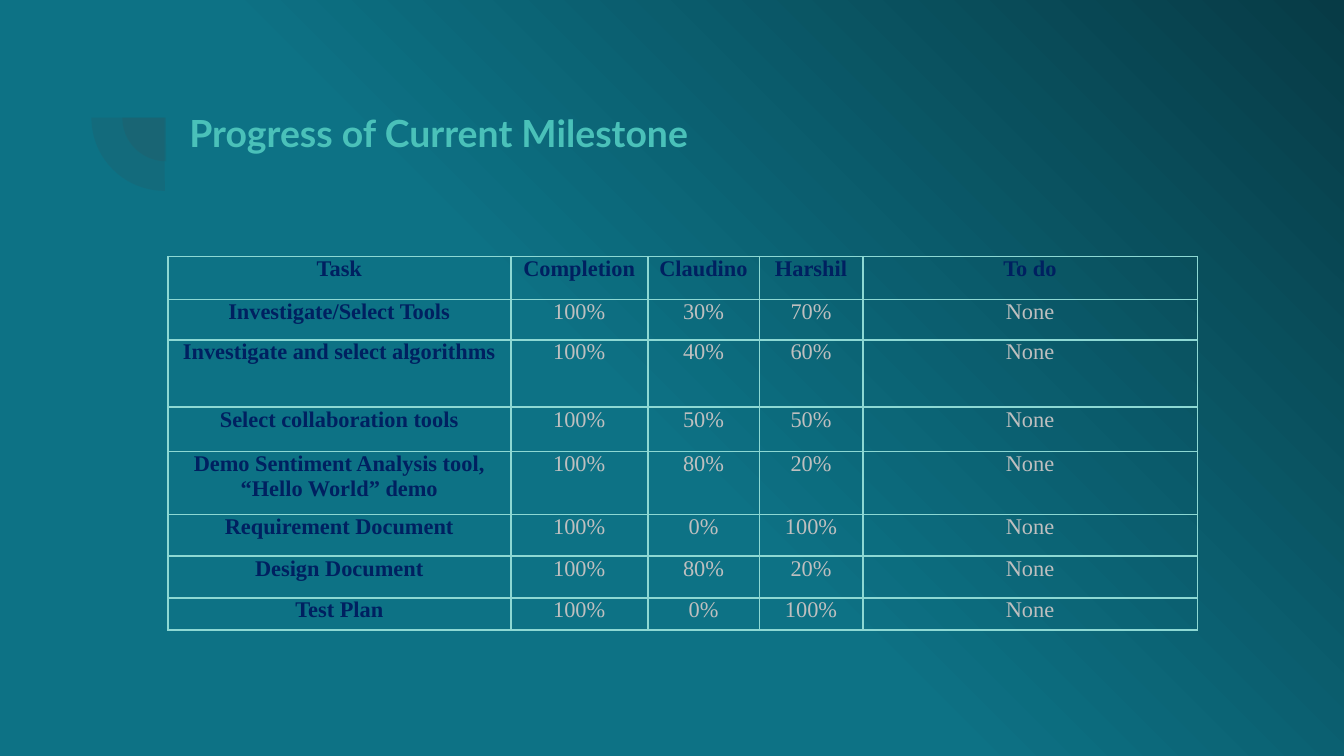
from lxml import etree
from pptx import Presentation
from pptx.dml.color import RGBColor
from pptx.enum import shapes, text
from pptx.oxml import parse_xml
from pptx.oxml.ns import nsdecls, qn
from pptx.util import Inches, Pt

COLORS = {"teal": "0D7285", "deep": "073B46", "title": "4AC1B9", "pie": "424242",
          "border": "8DD8D3", "heading": "002060", "value": "BFBFBF"}
TITLE = "Progress of Current Milestone"
TABLE = [
    ("Task", "Completion", "Claudino", "Harshil", "To do"),
    ("Investigate/Select Tools", "100%", "30%", "70%", "None"),
    ("Investigate and select algorithms", "100%", "40%", "60%", "None"),
    ("Select collaboration tools", "100%", "50%", "50%", "None"),
    ("Demo Sentiment Analysis tool, “Hello World” demo", "100%", "80%", "20%", "None"),
    ("Requirement Document", "100%", "0%", "100%", "None"),
    ("Design Document", "100%", "80%", "20%", "None"),
    ("Test Plan", "100%", "0%", "100%", "None"),
]
SLIDE_WIDTH = 10
COL_WIDTHS = [2.55, 1.02, 0.83, 0.77, 2.49]
ROW_HEIGHTS = [0.32, 0.3, 0.5, 0.33, 0.47, 0.31, 0.31, 0.24]
PIES = [(0.91, 0.55, 0.65), (0.68, 0.33, 1.09)]  # left, top, size


def set_font(p, name, size, color, bold):
    p.font.name, p.font.size, p.font.bold = name, Pt(size), bold
    p.font.color.rgb = RGBColor.from_string(COLORS[color])


def add_background(slide):
    """Radial gradient centred on the bottom left corner."""
    stops = "".join(
        f'<a:gs pos="{pos * 1000}"><a:srgbClr val="{COLORS[c]}"/></a:gs>'
        for pos, c in [(0, "teal"), (46, "teal"), (100, "deep")])
    bg = parse_xml(
        f'<p:bg {nsdecls("p", "a")}><p:bgPr><a:gradFill rotWithShape="1">'
        f'<a:gsLst>{stops}</a:gsLst><a:path path="circle">'
        '<a:fillToRect t="100000" r="100000"/></a:path></a:gradFill>'
        '<a:effectLst/></p:bgPr></p:bg>')
    slide.shapes.element.addprevious(bg)


def add_pie(slide, left, top, size):
    sp = slide.shapes.add_shape(shapes.MSO_SHAPE.PIE, Inches(left), Inches(top),
                                Inches(size), Inches(size))
    sp.adjustments[0], sp.adjustments[1] = 107.93, 162
    sp.rotation = 270
    sp.shadow.inherit = False
    sp.line.fill.background()
    sp.fill.solid()
    sp.fill.fore_color.rgb = RGBColor.from_string(COLORS["pie"])
    color = sp.element.spPr.find(".//" + qn("a:srgbClr"))
    etree.SubElement(color, qn("a:alpha"), val="13000")


def add_title(slide):
    sp = slide.shapes.add_textbox(Inches(1.31), Inches(0.72), Inches(7.69), Inches(1.09))
    tf = sp.text_frame
    tf.word_wrap = True
    tf.margin_left = tf.margin_right = tf.margin_top = tf.margin_bottom = Inches(0.1)
    p = tf.paragraphs[0]
    p.text = TITLE
    set_font(p, "Lato", 20, "title", True)


def set_borders(cell):
    tc_pr = cell._tc.get_or_add_tcPr()
    for i, side in enumerate(("lnL", "lnR", "lnT", "lnB")):
        tc_pr.insert(i, parse_xml(
            f'<a:{side} {nsdecls("a")} w="{Pt(1)}"><a:solidFill>'
            f'<a:srgbClr val="{COLORS["border"]}"/></a:solidFill></a:{side}>'))


def add_progress_table(slide):
    table = slide.shapes.add_table(
        len(TABLE), len(COL_WIDTHS), Inches(1.25), Inches(1.91),
        Inches(sum(COL_WIDTHS)), Inches(sum(ROW_HEIGHTS))).table
    table.first_row = table.horz_banding = False
    for col, width in zip(table.columns, COL_WIDTHS):
        col.width = Inches(width)
    for r, (row, height) in enumerate(zip(TABLE, ROW_HEIGHTS)):
        table.rows[r].height = Inches(height)
        for c, value in enumerate(row):
            cell = table.cell(r, c)
            cell.margin_left = cell.margin_right = Inches(0.07)
            cell.margin_top = cell.margin_bottom = 0
            cell.fill.background()
            set_borders(cell)
            p = cell.text_frame.paragraphs[0]
            p.text = value
            p.alignment = text.PP_ALIGN.CENTER
            heading = r == 0 or c == 0
            set_font(p, "Times New Roman", 12, "heading" if heading else "value", heading)


def main():
    prs = Presentation()
    prs.slide_width = Inches(SLIDE_WIDTH)
    prs.slide_height = Inches(SLIDE_WIDTH * 9 / 16)
    slide = prs.slides.add_slide(prs.slide_layouts[6])
    add_background(slide)
    for pie in PIES:
        add_pie(slide, *pie)
    add_title(slide)
    add_progress_table(slide)
    prs.save("out.pptx")


if __name__ == "__main__":
    main()
